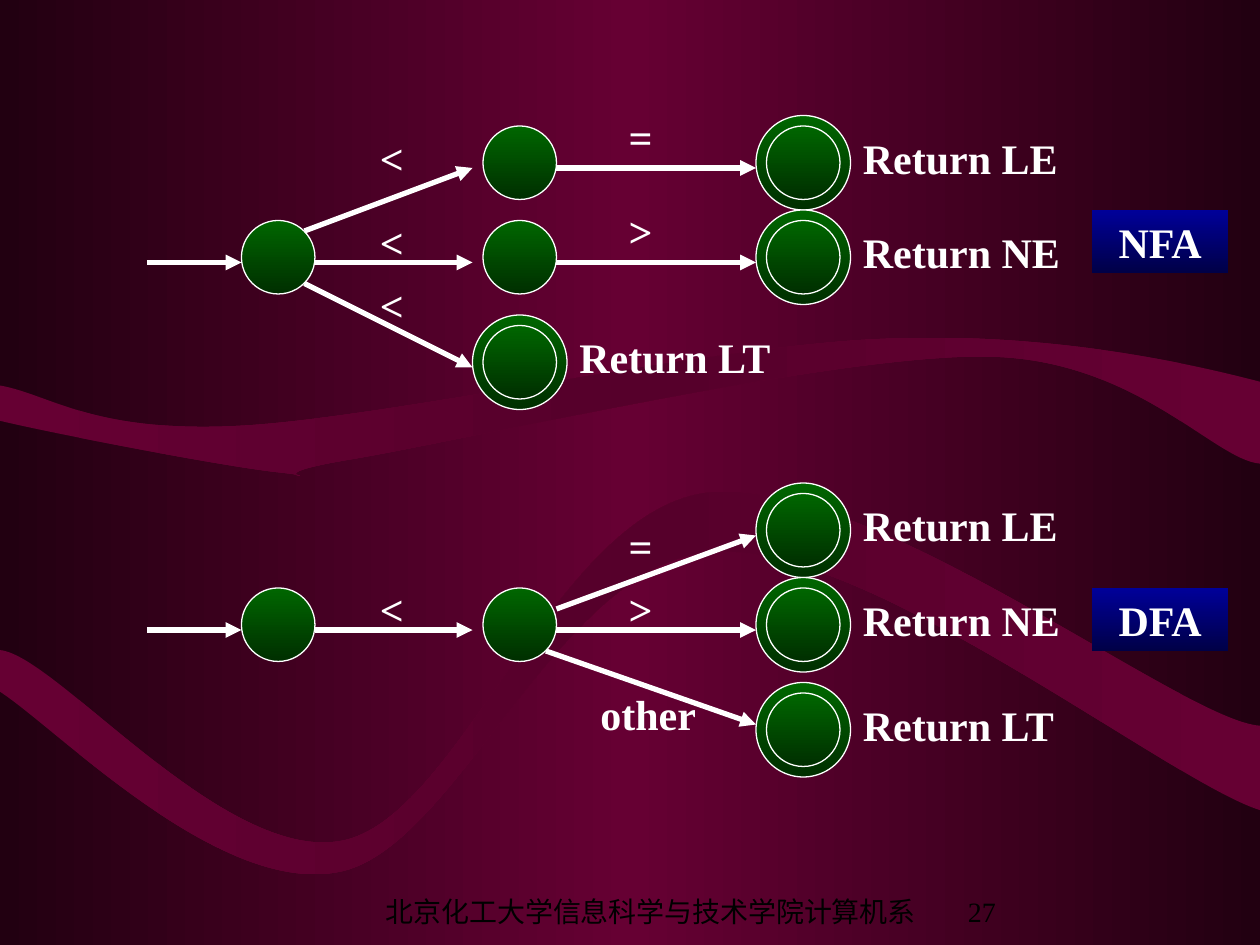
from copy import deepcopy
from dataclasses import dataclass

from lxml.etree import SubElement
from pptx import Presentation
from pptx.dml.color import RGBColor
from pptx.enum.shapes import MSO_CONNECTOR as CONN, MSO_SHAPE as SHAPE
from pptx.enum.text import MSO_ANCHOR as ANCHOR, MSO_AUTO_SIZE as AUTO, PP_ALIGN as ALIGN
from pptx.oxml.ns import qn
from pptx.util import Inches, Pt

FONT = "Times New Roman"
COLORS = {
    "edge": "220011", "wine": "660033", "ribbon": "56002B",
    "green": "006600", "dark_green": "002F00",
    "blue": "000099", "dark_blue": "000047",
    "white": "FFFFFF", "black": "000000",
}
WIDTH, HEIGHT = 10, 7.5
COLS = 120            # square grid cells across the slide
STATE, RIM = 7, 1     # state diameter and width of the accepting ring, in cells


@dataclass
class State:
    col: float
    row: float
    returns: str = ""     # accepting states carry a result


@dataclass
class Edge:
    col1: float
    row1: float
    col2: float
    row2: float


@dataclass
class Label:
    text: str
    col: float
    row: float
    width: float = 7
    align: ALIGN = ALIGN.LEFT


@dataclass
class Automaton:
    tag: Label
    states: list[State]
    edges: list[Edge]
    labels: list[Label]


NFA = Automaton(
    Label("NFA", 104, 20, 13, ALIGN.CENTER),
    [State(23, 21), State(46, 12), State(46, 21), State(46, 31, "Return LT"),
     State(73, 12, "Return LE"), State(73, 21, "Return NE")],
    [Edge(14, 25, 23, 25), Edge(29, 22, 45, 16), Edge(30, 25, 45, 25),
     Edge(29, 27, 45, 35), Edge(53, 16, 72, 16), Edge(53, 25, 72, 25)],
    [Label("<", 35, 12), Label("<", 35, 20), Label("<", 35, 26),
     Label("=", 53, 10, 16, ALIGN.CENTER), Label(">", 53, 19, 16, ALIGN.CENTER)],
)
DFA = Automaton(
    Label("DFA", 104, 56, 13, ALIGN.CENTER),
    [State(23, 56), State(46, 56), State(73, 47, "Return LE"),
     State(73, 56, "Return NE"), State(73, 66, "Return LT")],
    [Edge(14, 60, 23, 60), Edge(30, 60, 45, 60), Edge(53, 58, 72, 51),
     Edge(53, 60, 72, 60), Edge(52, 62, 72, 69)],
    [Label("<", 35, 55), Label("=", 53, 49, 16, ALIGN.CENTER),
     Label(">", 53, 55, 16, ALIGN.CENTER), Label("other", 56, 65, 14)],
)

# Ribbon outlines in inches: two numbers make a line, six a Bezier curve
RIBBONS = [
    [(0, 3.06), (0, 3.34), (0.37, 3.43, 1.75, 3.7, 2.22, 3.75),
     (2.69, 3.8, 1.9, 3.79, 2.82, 3.64), (3.75, 3.48, 6.6, 2.82, 7.8, 2.83),
     (9, 2.83, 9.63, 3.65, 10, 3.68), (10, 3.03),
     (9.5, 2.9, 8.36, 2.63, 7.01, 2.69), (5.66, 2.74, 3.07, 3.32, 1.9, 3.38),
     (0.73, 3.44, 0.4, 3.13, 0, 3.06)],
    [(0, 5.16), (0, 5.49), (0.45, 5.78, 1.74, 7.11, 2.69, 6.92),
     (3.63, 6.74, 4.43, 4.46, 5.65, 4.38), (6.87, 4.29, 9.27, 6.2, 10, 6.43),
     (10, 5.76), (9.38, 5.72, 6.91, 3.77, 5.62, 3.91),
     (4.41, 4.06, 3.67, 6.46, 2.73, 6.67), (1.79, 6.87, 0.45, 5.2, 0, 5.16)],
]


def cells(n: float) -> int:
    return Inches(WIDTH * n / COLS)


def rgb(name: str) -> RGBColor:
    return RGBColor.from_string(COLORS[name])


def gradient(fill, element, names: list[str], angle: float) -> None:
    """Spread the named colours evenly along a linear gradient."""
    fill.gradient()
    fill.gradient_angle = angle
    stops = element.find(".//" + qn("a:gsLst"))
    for _ in names[2:]:
        stops.append(deepcopy(stops[0]))
    for i, (stop, name) in enumerate(zip(fill.gradient_stops, names)):
        stop.position = i / (len(names) - 1)
        stop.color.rgb = rgb(name)


def write(sp, text: str, align: ALIGN, size: float = 24, color: str = "white",
          bold: bool = True, anchor: ANCHOR = ANCHOR.TOP) -> None:
    tf = sp.text_frame
    tf.word_wrap = True
    tf.auto_size = AUTO.NONE
    tf.vertical_anchor = anchor
    p = tf.paragraphs[0]
    p.alignment = align
    r = p.add_run()
    r.text = text
    r.font.name, r.font.size, r.font.bold = FONT, Pt(size), bold
    r.font.color.rgb = rgb(color)


def draw_ribbon(s, outline: list[tuple]) -> None:
    points = [(Inches(seg[i]), Inches(seg[i + 1]))
              for seg in outline for i in range(0, len(seg), 2)]
    builder = s.shapes.build_freeform(*points[0])
    builder.add_line_segments(points[1:], close=False)
    sp = builder.convert_to_shape()
    # Join each run of three line segments into one curve
    track = sp.element.find(".//" + qn("a:path"))
    lines = iter(track.findall(qn("a:lnTo")))
    for seg in outline[1:]:
        line = next(lines)
        if len(seg) == 6:
            curve = SubElement(track, qn("a:cubicBezTo"))
            track.replace(line, curve)
            for part in (line, next(lines), next(lines)):
                curve.append(part[0])
                if part is not line:
                    track.remove(part)
    SubElement(track, qn("a:close"))
    sp.shadow.inherit = False
    sp.line.fill.background()
    gradient(sp.fill, sp.element, ["wine", "ribbon", "wine"], 0)


def draw_circle(shapes, col: float, row: float, size: float) -> None:
    sp = shapes.add_shape(SHAPE.OVAL, cells(col), cells(row), cells(size), cells(size))
    sp.shadow.inherit = False
    gradient(sp.fill, sp.element, ["green", "dark_green"], 270)
    sp.line.color.rgb = rgb("white")
    sp.line.width = Pt(0.75)


def draw_label(shapes, label: Label) -> None:
    sp = shapes.add_textbox(cells(label.col), cells(label.row), cells(label.width), cells(6))
    write(sp, label.text, label.align)


def draw_state(shapes, state: State) -> None:
    if state.returns:
        draw_circle(shapes, state.col - RIM, state.row - RIM, STATE + 2 * RIM)
        draw_label(shapes, Label(state.returns, state.col + STATE + RIM, state.row, 31))
    draw_circle(shapes, state.col, state.row, STATE)


def draw_edge(shapes, edge: Edge) -> None:
    line = shapes.add_connector(CONN.STRAIGHT, cells(edge.col1), cells(edge.row1),
                                cells(edge.col2), cells(edge.row2))
    line.line.color.rgb = rgb("white")
    line.line.width = Pt(3)
    SubElement(line.line._get_or_add_ln(), qn("a:tailEnd"), type="triangle")
    SubElement(line.element.spPr, qn("a:effectLst"))


def draw_tag(s, tag: Label) -> None:
    sp = s.shapes.add_shape(SHAPE.RECTANGLE, cells(tag.col), cells(tag.row),
                            cells(tag.width), cells(6))
    sp.shadow.inherit = False
    sp.line.fill.background()
    gradient(sp.fill, sp.element, ["blue", "dark_blue"], 270)
    write(sp, tag.text, tag.align)


def draw_automaton(s, automaton: Automaton) -> None:
    shapes = s.shapes.add_group_shape().shapes
    for state in automaton.states:
        draw_state(shapes, state)
    for edge in automaton.edges:
        draw_edge(shapes, edge)
    for label in automaton.labels:
        draw_label(shapes, label)
    draw_tag(s, automaton.tag)


def main() -> None:
    prs = Presentation()
    prs.slide_width, prs.slide_height = Inches(WIDTH), Inches(HEIGHT)
    s = prs.slides.add_slide(prs.slide_layouts[6])

    # Background
    gradient(s.background.fill, s.element, ["edge", "wine", "edge"], 0)
    for outline in RIBBONS:
        draw_ribbon(s, outline)

    # Footer and page number
    for text, col, width, align in (("北京化工大学信息科学与技术学院计算机系", 34, 56, ALIGN.CENTER),
                                    ("27", 91, 25, ALIGN.LEFT)):
        sp = s.shapes.add_textbox(cells(col), cells(85), cells(width), cells(4))
        write(sp, text, align, 16, "black", False, ANCHOR.BOTTOM)

    # Diagrams
    for automaton in (NFA, DFA):
        draw_automaton(s, automaton)

    prs.save("out.pptx")


if __name__ == "__main__":
    main()
